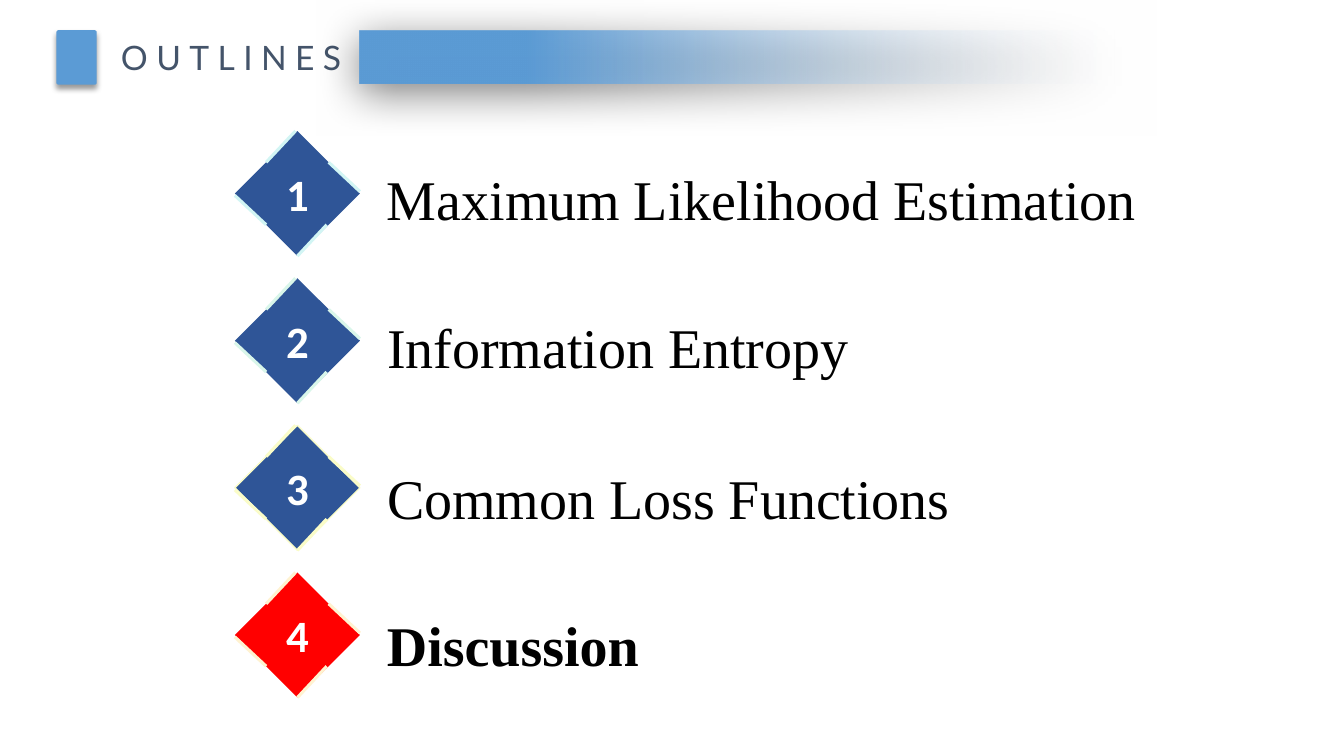
from lxml import etree
from pptx import Presentation
from pptx.dml.color import RGBColor
from pptx.enum.shapes import MSO_CONNECTOR, MSO_SHAPE
from pptx.enum.text import MSO_ANCHOR, MSO_AUTO_SIZE, PP_ALIGN
from pptx.oxml.ns import qn
from pptx.util import Inches, Pt

LINE = MSO_CONNECTOR.STRAIGHT
RECT, ROUND = MSO_SHAPE.RECTANGLE, MSO_SHAPE.ROUNDED_RECTANGLE
TOP, MIDDLE = MSO_ANCHOR.TOP, MSO_ANCHOR.MIDDLE
LEFT, CENTER = PP_ALIGN.LEFT, PP_ALIGN.CENTER
NO_FIT = MSO_AUTO_SIZE.NONE

BLUE = RGBColor(0x5B, 0x9B, 0xD5)
PALE = RGBColor(0xF6, 0xF8, 0xFC)
SLATE = RGBColor(0x44, 0x54, 0x6A)
NAVY = RGBColor(0x2F, 0x55, 0x97)
RED = RGBColor(0xFF, 0x00, 0x00)
AQUA = RGBColor(0xD2, 0xF5, 0xF4)
MINT = RGBColor(0xD9, 0xF6, 0xEA)
LEMON = RGBColor(0xFA, 0xFC, 0xC8)
CREAM = RGBColor(0xFF, 0xF2, 0xD0)
WHITE = RGBColor(0xFF, 0xFF, 0xFF)
BLACK = RGBColor(0x00, 0x00, 0x00)


def add_run(para, text, size, font, color, bold=False):
    run = para.add_run()
    run.text = text
    run.font.size = Pt(size)
    run.font.name = font
    run.font.color.rgb = color
    run.font.bold = bold
    return run


def add_shadow(shape, alpha, blur, dist, angle):
    """Give a black outer shadow: alpha in percent, lengths in points."""
    shape.shadow.inherit = False
    effects = shape._element.spPr.find(qn("a:effectLst"))
    outer = etree.SubElement(
        effects, qn("a:outerShdw"), blurRad=str(Pt(blur)), dist=str(Pt(dist)),
        dir=str(angle * 60000), algn="ctr", rotWithShape="0")
    tint = etree.SubElement(outer, qn("a:srgbClr"), val="000000")
    etree.SubElement(tint, qn("a:alpha"), val=str(alpha * 1000))


prs = Presentation()
prs.slide_width, prs.slide_height = Inches(13.33), Inches(7.5)
slide = prs.slides.add_slide(prs.slide_layouts[5])
shapes = slide.shapes

# Header: fading bar, small block and title
bar = shapes.add_shape(RECT, Inches(3.57), Inches(0.3), Inches(7.49), Inches(0.53))
bar.line.fill.background()
bar.fill.gradient()
bar.fill.gradient_angle = 180
for stop, color, place in zip(bar.fill.gradient_stops, (PALE, BLUE), (0, 0.78)):
    stop.color.rgb = color
    stop.position = place
clear = bar._element.spPr.find(".//" + qn("a:srgbClr"))
etree.SubElement(clear, qn("a:alpha"), val="0")
add_shadow(bar, 50, 31, 6, 97)

block = shapes.add_shape(ROUND, Inches(0.56), Inches(0.3), Inches(0.4), Inches(0.54))
block.adjustments[0] = 0.05
block.fill.solid()
block.fill.fore_color.rgb = BLUE
block.line.fill.background()
add_shadow(block, 40, 4, 3, 90)

title = shapes.title
title.left, title.top = Inches(1.1), Inches(0.32)
title.width, title.height = Inches(2.55), Inches(0.51)
frame = title.text_frame
frame.auto_size = NO_FIT
frame.word_wrap = False
frame.vertical_anchor = TOP
frame.paragraphs[0].alignment = LEFT
run = add_run(frame.paragraphs[0], "OUTLINES", 24, "Lato", SLATE)
run.font._element.set("spc", "600")

# Topics: wording, diamond fill, edge colour, text top, width, height, spacing
topics = [
    ("Maximum Likelihood Estimation", NAVY, AQUA, 1.58, 8.33, 0.96, 1.0),
    ("Information Entropy", NAVY, MINT, 2.92, 9.51, 1.03, 1.2),
    ("Common Loss Functions", NAVY, LEMON, 4.42, 6.52, 0.96, 1.2),
    ("Discussion", RED, CREAM, 5.87, 8.33, 0.96, 1.2),
]
SIDE, STEP = 1.24, 1.46
HALF = SIDE / 2
# Edge highlights, measured from the diamond's top left corner
edges = [
    (0.31, 0.31, 0.6, 0),
    (0.62, 1.24, 0.91, 0.93),
    (1.24, 0.6, 0.93, 0.31),
    (0.31, 0.93, 0, 0.64),
]

for i, (text, fill, edge, top, width, height, space) in enumerate(topics):
    x, y = 2.33, 1.3 + i * STEP
    pen = shapes.build_freeform(Inches(x + HALF), Inches(y))
    corners = [(SIDE, HALF), (HALF, SIDE), (0, HALF)]
    pen.add_line_segments([(Inches(x + dx), Inches(y + dy)) for dx, dy in corners])
    gem = pen.convert_to_shape()
    gem.shadow.inherit = False
    gem.fill.solid()
    gem.fill.fore_color.rgb = fill
    if edge == LEMON:
        gem.line.color.rgb = edge
        gem.line.width = Pt(1)
    else:
        gem.line.fill.background()
    gem.text_frame.vertical_anchor = MIDDLE
    para = gem.text_frame.paragraphs[0]
    para.alignment = CENTER
    add_run(para, str(i + 1), 32, "Calibri", WHITE, True)

    for x1, y1, x2, y2 in edges:
        line = shapes.add_connector(
            LINE, Inches(x + x1), Inches(y + y1), Inches(x + x2), Inches(y + y2))
        line.line.color.rgb = edge
        line.line.width = Pt(2.25)
        etree.SubElement(line._element.spPr, qn("a:effectLst"))

    box = shapes.add_textbox(Inches(3.74), Inches(top), Inches(width), Inches(height))
    box.text_frame.word_wrap = True
    para = box.text_frame.paragraphs[0]
    para.line_spacing = space
    add_run(para, text, 40, "Times New Roman", BLACK, fill == RED)

prs.save("out.pptx")
